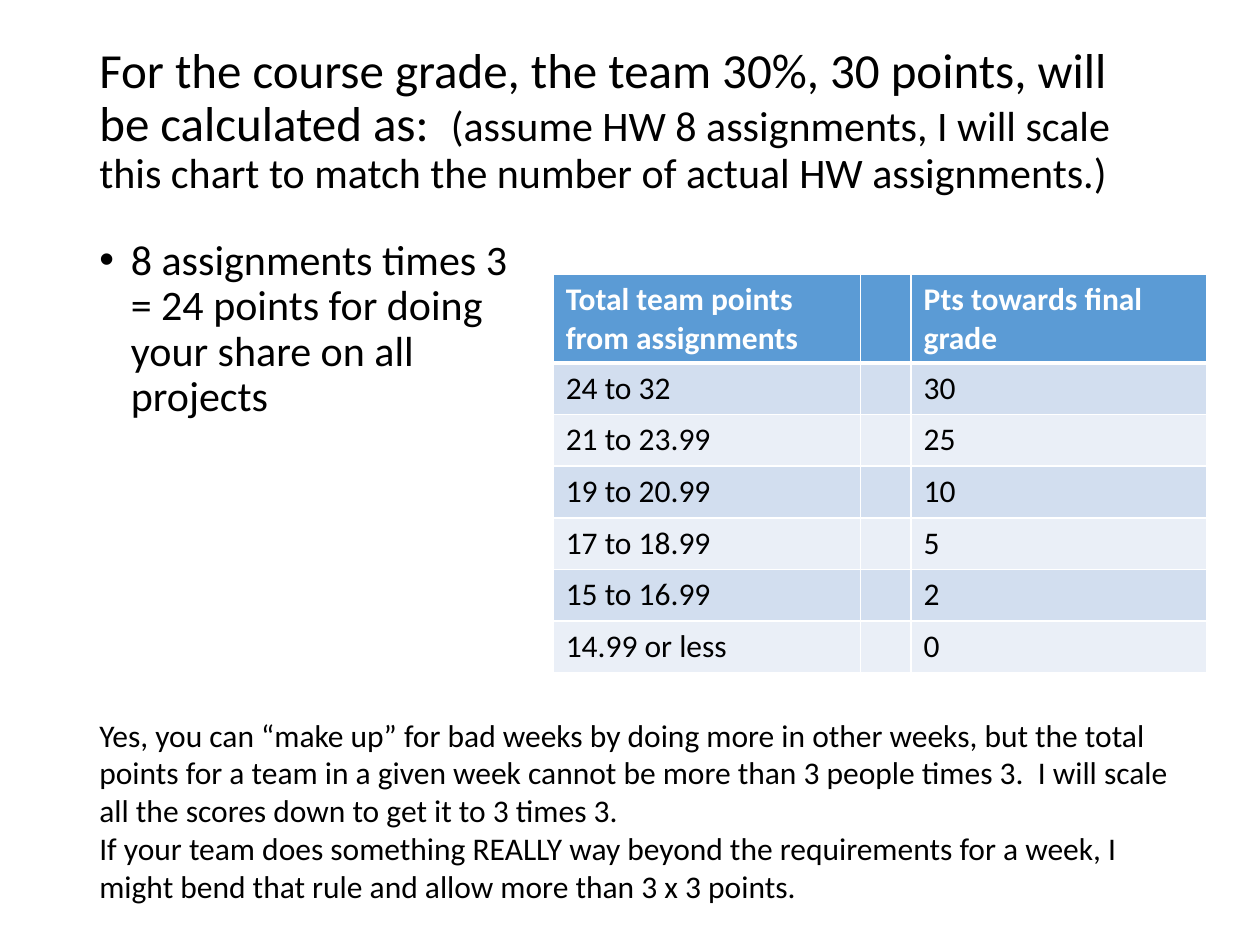
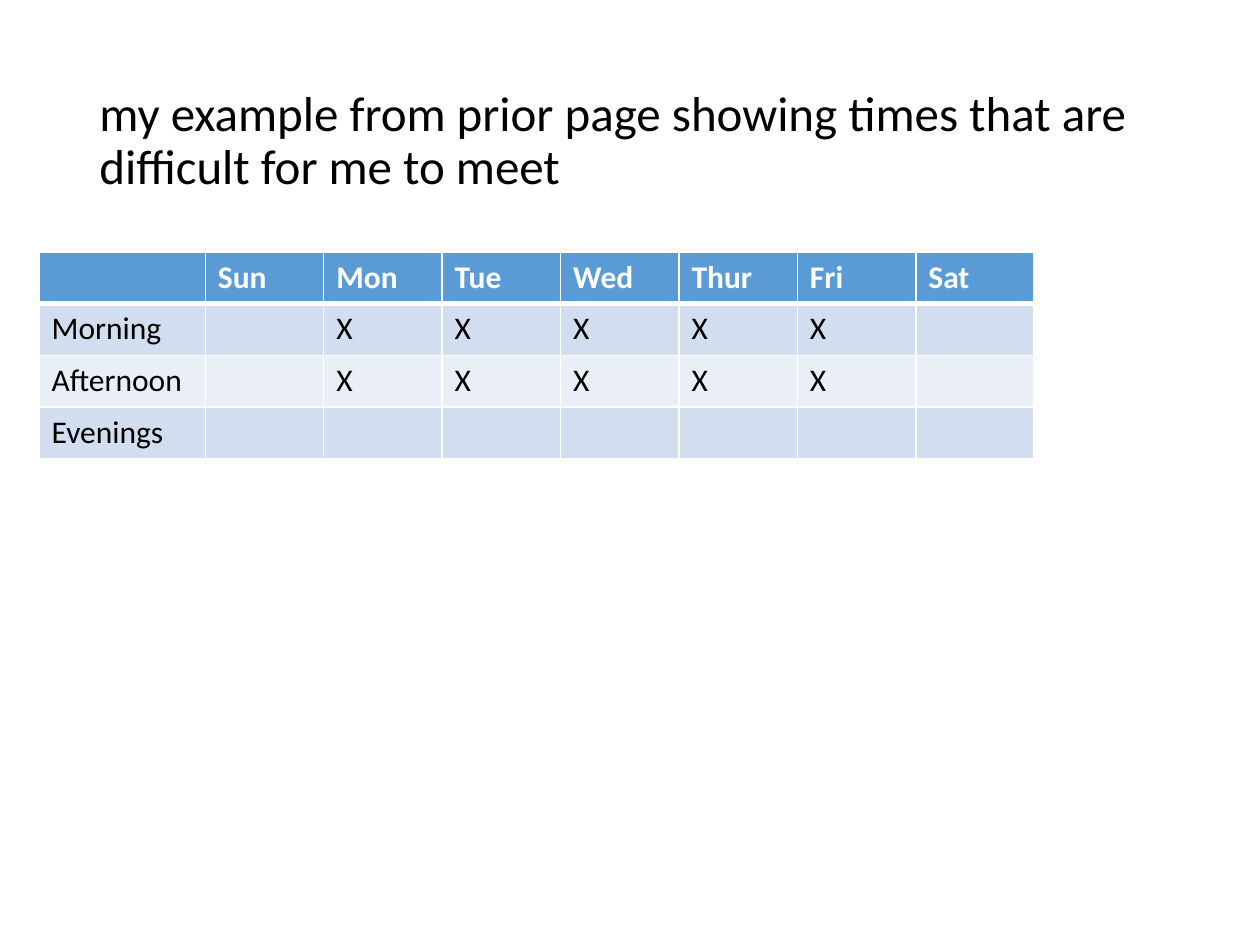
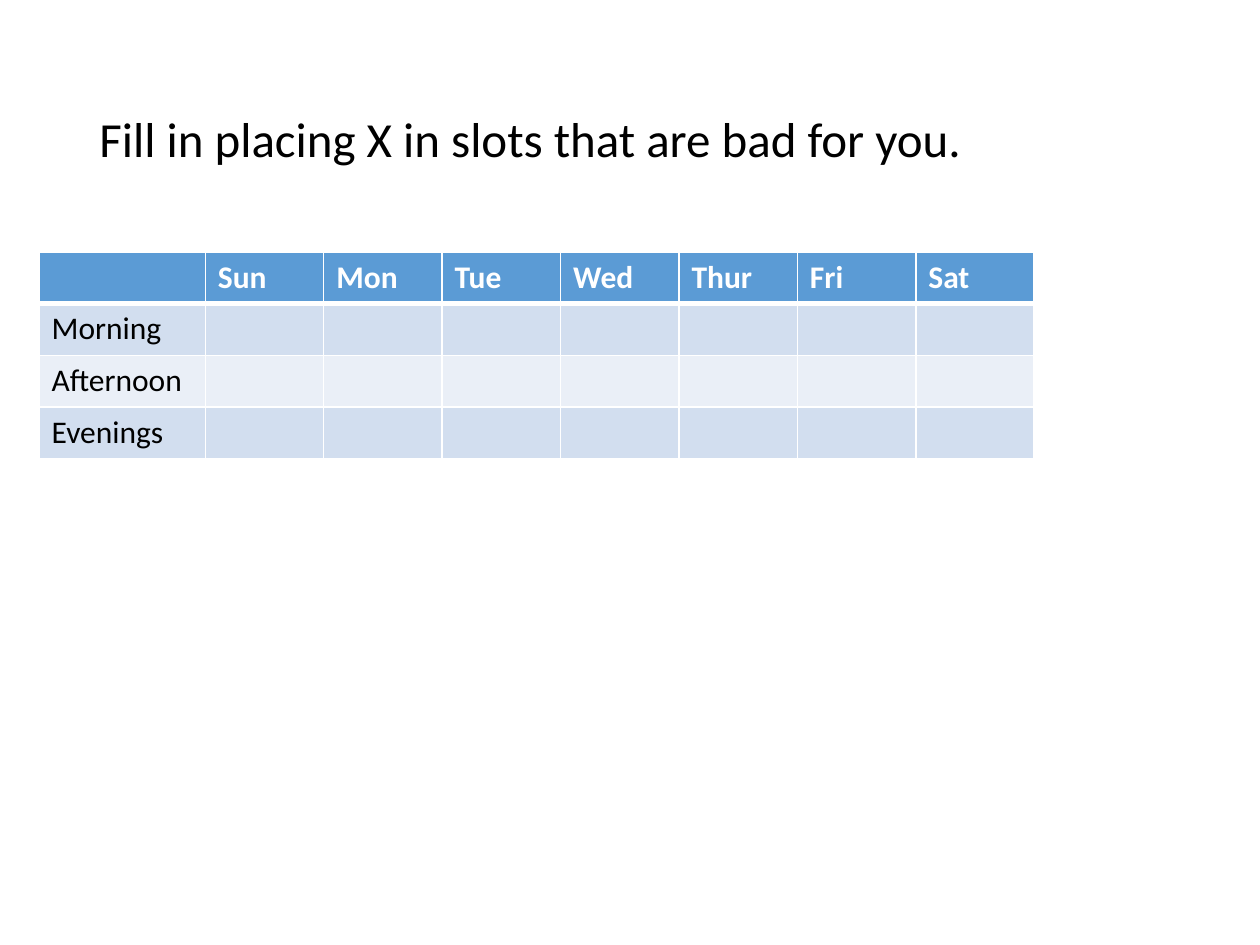
from dataclasses import dataclass

from lxml import etree
from pptx import Presentation
from pptx.dml.color import RGBColor
from pptx.enum.text import MSO_ANCHOR, MSO_AUTO_SIZE
from pptx.oxml.ns import qn
from pptx.slide import Slide
from pptx.text.text import TextFrame, _Run
from pptx.util import Inches, Pt

# Shared style
FONT = "Calibri"
BLACK = RGBColor(0x00, 0x00, 0x00)
WHITE = RGBColor(0xFF, 0xFF, 0xFF)
HEADER_BLUE = RGBColor(0x5B, 0x9B, 0xD5)
BAND_DARK = RGBColor(0xD2, 0xDE, 0xEF)
BAND_LIGHT = RGBColor(0xEA, 0xEF, 0xF7)
MIDDLE = MSO_ANCHOR.MIDDLE
GROW_SHAPE = MSO_AUTO_SIZE.SHAPE_TO_FIT_TEXT

LEFT_MARGIN = 0.69
TITLE_SIZE = 28
LARGE_SIZE = 24
BODY_SIZE = 18
LINE_SPACING = 0.9
ROW_HEIGHT = 0.41
THIN_BORDER = 1
HEADER_BORDER = 3


@dataclass(frozen=True)
class Box:
    left: float
    top: float
    width: float
    height: float


@dataclass(frozen=True)
class TextPart:
    text: str
    size: float


@dataclass(frozen=True)
class Grid:
    left: float
    top: float
    column_widths: list[float]
    rows: list[list[str]]


# Slide content
GRADE_TITLE = [
    TextPart("For the course grade, the team 30%, 30 points, will be calculated as:  ", TITLE_SIZE),
    TextPart("(assume HW 8 assignments, I will scale this chart to match "
             "the number of actual HW assignments.)", LARGE_SIZE),
]
ASSIGNMENT_BULLET = "8 assignments times 3 = 24 points for doing your share on all projects"
GRADE_GRID = Grid(4.39, 2.18, [2.44, 0.4, 2.35], [
    ["Total team points from assignments", "", "Pts towards final grade"],
    ["24 to 32", "", "30"],
    ["21 to 23.99", "", "25"],
    ["19 to 20.99", "", "10"],
    ["17 to 18.99", "", "5"],
    ["15 to 16.99", "", "2"],
    ["14.99 or less", "", "0"],
])
MAKE_UP_RULES = [
    "Yes, you can “make up” for bad weeks by doing more in other weeks, but the total points "
    "for a team in a given week cannot be more than 3 people times 3.  I will scale all the "
    "scores down to get it to 3 times 3.",
    "If your team does something REALLY way beyond the requirements for a week, I might bend "
    "that rule and allow more than 3 x 3 points.",
]
DAYS = ["Sun", "Mon", "Tue", "Wed", "Thur", "Fri", "Sat"]
WEEKDAYS = DAYS[1:6]
DAY_PARTS = ["Morning", "Afternoon", "Evenings"]


def style_run(run: _Run, size: float, color: RGBColor = BLACK, bold: bool = False) -> None:
    run.font.name = FONT
    run.font.size = Pt(size)
    run.font.color.rgb = color
    run.font.bold = bold


def add_text_frame(slide: Slide, box: Box) -> TextFrame:
    shape = slide.shapes.add_textbox(
        Inches(box.left), Inches(box.top), Inches(box.width), Inches(box.height))
    shape.text_frame.word_wrap = True
    return shape.text_frame


def add_title(slide: Slide, parts: list[TextPart], top: float = 0.4) -> None:
    text_frame = add_text_frame(slide, Box(LEFT_MARGIN, top, 8.62, 1.45))
    text_frame.vertical_anchor = MIDDLE
    paragraph = text_frame.paragraphs[0]
    paragraph.line_spacing = LINE_SPACING
    for part in parts:
        run = paragraph.add_run()
        run.text = part.text
        style_run(run, part.size)


def add_bullet(slide: Slide, text: str, box: Box) -> None:
    paragraph = add_text_frame(slide, box).paragraphs[0]
    paragraph.text = text
    paragraph.line_spacing = LINE_SPACING
    paragraph.space_before = Pt(10)
    style_run(paragraph.runs[0], LARGE_SIZE)
    properties = paragraph._p.get_or_add_pPr()
    properties.set("marL", str(Inches(0.25)))
    properties.set("indent", str(-Inches(0.25)))
    etree.SubElement(properties, qn("a:buFont"), typeface="Arial")
    etree.SubElement(properties, qn("a:buChar"), char="•")


def add_note(slide: Slide, lines: list[str], box: Box) -> None:
    text_frame = add_text_frame(slide, box)
    text_frame.auto_size = GROW_SHAPE
    text_frame.text = "\n".join(lines)
    for paragraph in text_frame.paragraphs:
        style_run(paragraph.runs[0], BODY_SIZE)


def add_border(cell_properties: etree._Element, side: str, width: float) -> None:
    line = etree.SubElement(cell_properties, qn(f"a:{side}"), w=str(Pt(width)))
    fill = etree.SubElement(line, qn("a:solidFill"))
    etree.SubElement(fill, qn("a:srgbClr"), val=str(WHITE))


def add_grid(slide: Slide, grid: Grid) -> None:
    row_count, column_count = len(grid.rows), len(grid.column_widths)
    table = slide.shapes.add_table(
        row_count, column_count, Inches(grid.left), Inches(grid.top),
        Inches(sum(grid.column_widths)), Inches(ROW_HEIGHT * row_count)).table
    for column, width in zip(table.columns, grid.column_widths):
        column.width = Inches(width)

    for row_index, row in enumerate(grid.rows):
        is_header = row_index == 0
        band = BAND_DARK if row_index % 2 else BAND_LIGHT
        border_widths = {
            "lnL": THIN_BORDER,
            "lnR": THIN_BORDER,
            "lnT": HEADER_BORDER if row_index == 1 else THIN_BORDER,
            "lnB": HEADER_BORDER if is_header else THIN_BORDER,
        }
        for column_index, text in enumerate(row):
            cell = table.cell(row_index, column_index)
            for side, width in border_widths.items():
                add_border(cell._tc.get_or_add_tcPr(), side, width)
            cell.fill.solid()
            cell.fill.fore_color.rgb = HEADER_BLUE if is_header else band
            if text:
                cell.text_frame.text = text
                style_run(cell.text_frame.paragraphs[0].runs[0], BODY_SIZE,
                          WHITE if is_header else BLACK, is_header)


def week_grid(busy: dict[str, list[str]]) -> Grid:
    """Lay out the week, with an X on each busy day for each part of the day."""
    rows = [["", *DAYS]]
    for day_part in DAY_PARTS:
        busy_days = busy.get(day_part, [])
        rows.append([day_part, *("X" if day in busy_days else "" for day in DAYS)])
    return Grid(0.31, 2, [1.32] + [0.94] * len(DAYS), rows)


def main() -> None:
    presentation = Presentation()
    presentation.slide_width = Inches(10)
    presentation.slide_height = Inches(7.5)
    blank_layout = presentation.slide_layouts[6]

    # Grade calculation
    slide = presentation.slides.add_slide(blank_layout)
    add_title(slide, GRADE_TITLE, top=0.24)
    add_bullet(slide, ASSIGNMENT_BULLET, Box(LEFT_MARGIN, 1.85, 3.51, 3.27))
    add_grid(slide, GRADE_GRID)
    add_note(slide, MAKE_UP_RULES, Box(LEFT_MARGIN, 5.63, 8.88, 1.62))

    # Weekly availability: filled example, then empty form
    example = {"Morning": WEEKDAYS, "Afternoon": WEEKDAYS}
    for title, busy in [
        ("my example from prior page showing times that are difficult for me to meet", example),
        ("Fill in placing X in slots that are bad for you.", {}),
    ]:
        slide = presentation.slides.add_slide(blank_layout)
        add_title(slide, [TextPart(title, TITLE_SIZE)])
        add_grid(slide, week_grid(busy))

    presentation.save("out.pptx")


if __name__ == "__main__":
    main()
